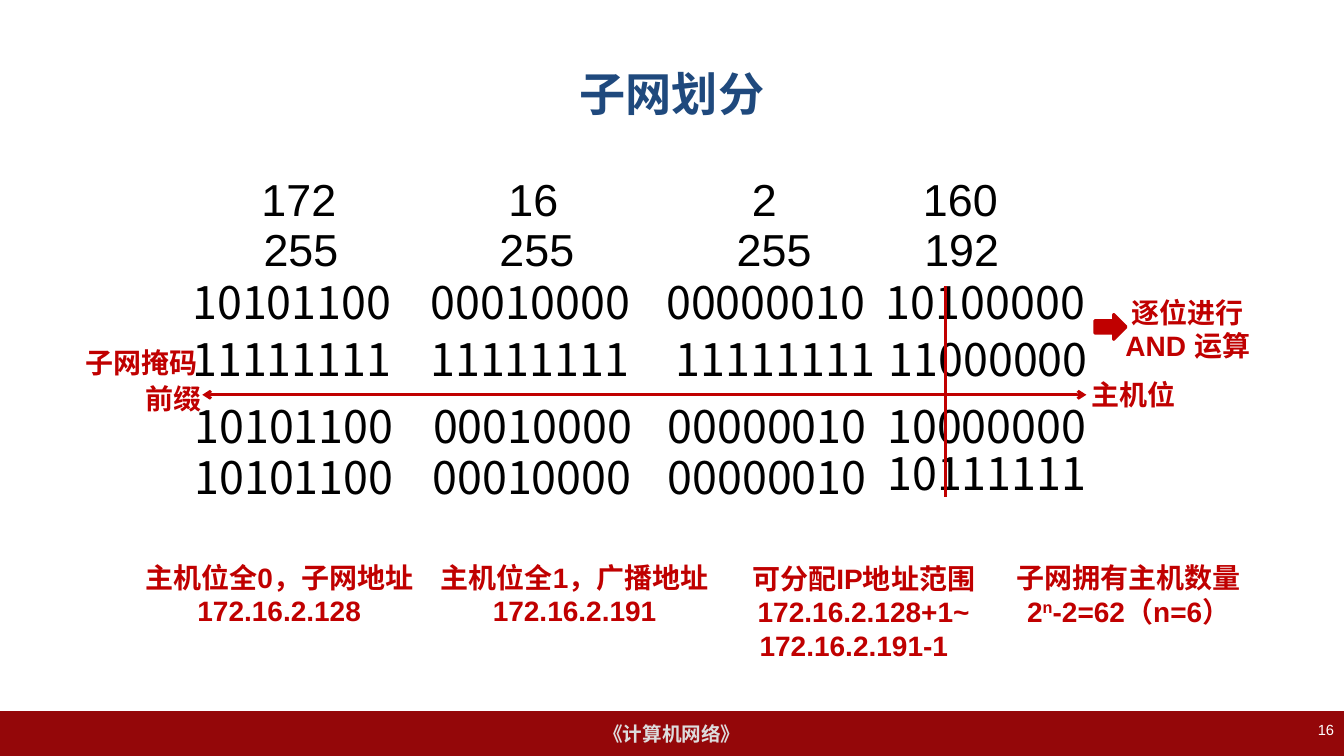
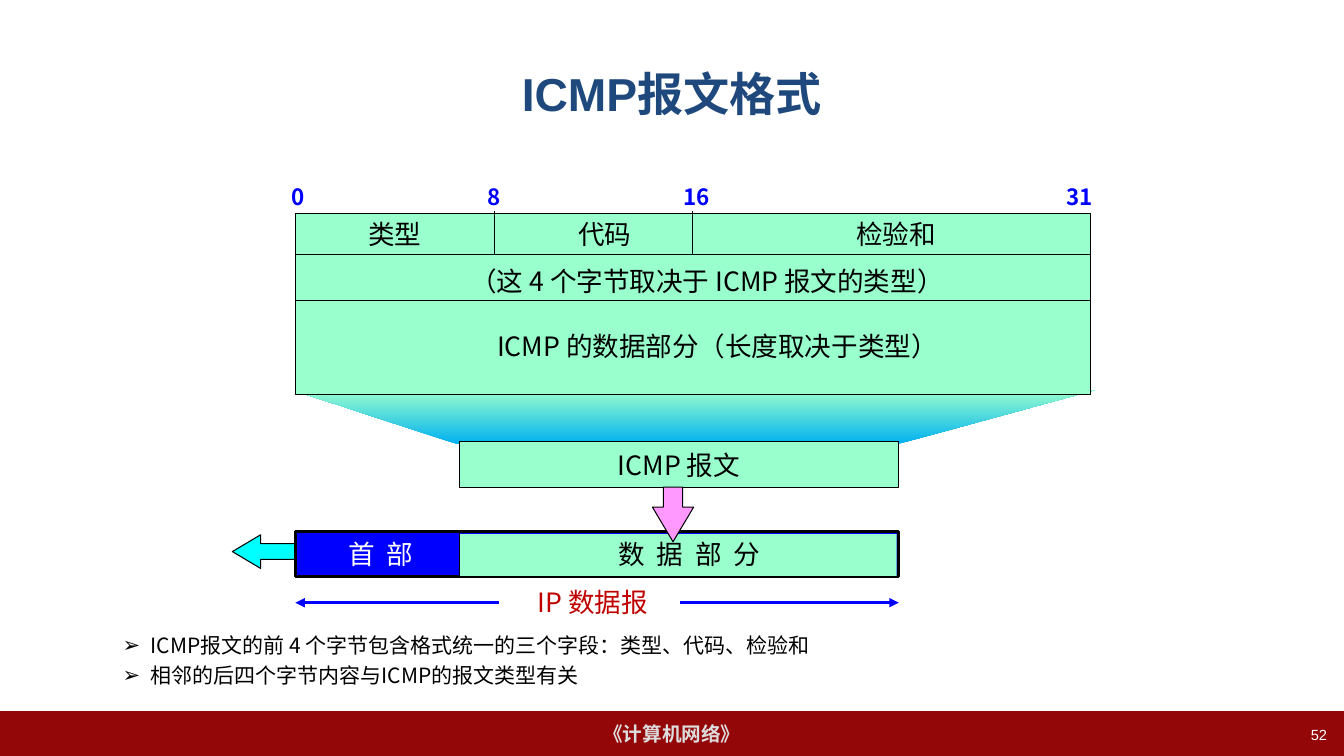
"""Build two computer-network slides: subnet division and the ICMP message format."""
from lxml.etree import SubElement
from pptx import Presentation
from pptx.dml.color import RGBColor
from pptx.enum.shapes import MSO_CONNECTOR, MSO_SHAPE
from pptx.enum.text import MSO_ANCHOR, PP_ALIGN
from pptx.oxml.ns import qn
from pptx.util import Pt

LATIN, CJK = "Arial", "Noto Sans CJK SC"
BAND, BAND_TEXT, TITLE = "940709", "DDDDDD", "1F497D"
RED, BLUE, MINT, SKY = "C00000", "0000FF", "99FFCC", "00B0F0"
CYAN, PINK, BLACK, WHITE = "00FFFF", "FF99FF", "000000", "FFFFFF"


def paint(shape, fill, line=None, width=0.75):
    shape.shadow.inherit = False
    shape.fill.solid()
    shape.fill.fore_color.rgb = RGBColor.from_string(fill)
    if line:
        shape.line.color.rgb = RGBColor.from_string(line)
        shape.line.width = Pt(width)
    else:
        shape.line.fill.background()


def write(shape, paragraphs, size, colour, font=LATIN, bold=False, align=PP_ALIGN.CENTER,
          anchor=MSO_ANCHOR.MIDDLE, wrap=True, inset=(7.2, 3.6)):
    frame = shape.text_frame
    frame.word_wrap = wrap
    frame.vertical_anchor = anchor
    frame.margin_left = frame.margin_right = Pt(inset[0])
    frame.margin_top = frame.margin_bottom = Pt(inset[1])
    for index, texts in enumerate(paragraphs):
        paragraph = frame.add_paragraph() if index else frame.paragraphs[0]
        paragraph.alignment = align
        for text in texts:
            run = paragraph.add_run()
            run.text = text
            run.font.size = Pt(size)
            run.font.bold = bold
            run.font.name = font
            run.font.color.rgb = RGBColor.from_string(colour)
            SubElement(run.font._element, qn("a:ea")).set("typeface", CJK)
    return frame.paragraphs


deck = Presentation()
deck.slide_width, deck.slide_height = Pt(960), Pt(540)
subnet, icmp = [deck.slides.add_slide(deck.slide_layouts[6]) for _ in range(2)]

for slide, title, number, number_box in [
    (subnet, "子网划分", "16", (699, 511, 261, 29)),
    (icmp, "ICMP报文格式", "52", (731, 515, 224, 25)),
]:
    band = slide.shapes.add_shape(MSO_SHAPE.RECTANGLE, *map(Pt, (0, 508, 960, 32)))
    paint(band, BAND)
    write(band, [["《计算机网络》"]], 14, BAND_TEXT, bold=True, wrap=False)
    heading = slide.shapes.add_textbox(*map(Pt, (48, 21.5, 864, 90)))
    write(heading, [[title]], 33, TITLE, bold=True)
    page = slide.shapes.add_textbox(*map(Pt, number_box))
    write(page, [[number]], 10.5, WHITE, align=PP_ALIGN.RIGHT, anchor=MSO_ANCHOR.TOP)

octet_rows = [
    (LATIN, (138, 138), "172 16 2 160", (213.5, 381, 546, 686)),
    (LATIN, (173.5, 173.5), "255 255 255 192", (215, 383.5, 553, 687)),
    (CJK, (211, 211), "10101100 00010000 00000010 10100000", (208.5, 379, 547, 704)),
    (CJK, (252, 252), "11111111 11111111 11111111 11000000", (208.5, 378.5, 554, 706)),
    (CJK, (299.5, 299.5), "10101100 00010000 00000010 10000000", (210, 380.5, 548, 705)),
    (CJK, (336, 333.5), "10101100 00010000 00000010 10111111", (210, 380, 548, 705)),
]
for font, (top, last_top), octets, centres in octet_rows:
    tops = [top] * 3 + [last_top]
    for octet, centre, octet_top in zip(octets.split(), centres, tops):
        cell = subnet.shapes.add_textbox(Pt(centre - 75), Pt(octet_top), Pt(150), Pt(23))
        lines = write(cell, [[octet]], 32, BLACK, font, anchor=MSO_ANCHOR.TOP,
                      wrap=False, inset=(1.5, 2))
        lines[0].line_spacing = Pt(21.4)

red_notes = {}
for key, box, paragraphs in [
    ("prefix", (96.5, 275, 55.5, 19.5), [["前缀"]]),
    ("host", (771, 272, 78, 19.5), [["主机位"]]),
    ("mask", (44, 249, 114.5, 19.5), [["子网掩码"]]),
    ("and", (792, 213, 113, 44), [["逐位进行 AND 运算"]]),
    ("network", (90, 401, 219, 46), [["主机位全0，子网地址"], ["172.16.2.128"]]),
    ("broadcast", (301, 401, 219, 46), [["主机位全1，广播地址"], ["172.16.2.191"]]),
    ("range", (507.5, 401, 219, 72), [["可分配IP地址范围172.16.2.128+1~"], ["172.16.2.191-1"]]),
    ("count", (714, 397, 184.5, 55), [["子网拥有主机数量"], ["2", "n", "-2=62（n=6）"]]),
]:
    note = subnet.shapes.add_textbox(*map(Pt, box))
    red_notes[key] = write(note, paragraphs, 20, RED, bold=True)
range_end = red_notes["range"][1]
range_end.alignment = PP_ALIGN.LEFT
range_end._p.get_or_add_pPr().set("marL", str(Pt(28)))
red_notes["count"][1].runs[1].font._element.set("baseline", "30000")

cone = icmp.shapes.build_freeform(Pt(213), Pt(280), scale=1.0)
cone.add_line_segments([(Pt(x), Pt(y)) for x, y in [(327.5, 317.5), (642, 317), (782.5, 278.5)]])
funnel = cone.convert_to_shape()
paint(funnel, MINT)
funnel.fill.gradient()
funnel.fill.gradient_angle = 90
for stop, colour in zip(funnel.fill.gradient_stops, (SKY, MINT)):
    stop.color.rgb = RGBColor.from_string(colour)

RECT = MSO_SHAPE.RECTANGLE
for slide, kind, box, fill, line, width, text in [
    (subnet, MSO_SHAPE.RIGHT_ARROW, (782, 224.5, 22.5, 18), RED, RED, 2, None),
    (icmp, MSO_SHAPE.LEFT_ARROW, (166, 382, 47.5, 24), CYAN, BLACK, 0.75, None),
    (icmp, RECT, (211, 379.5, 431, 32.5), BLUE, BLACK, 2, None),
    (icmp, RECT, (328.5, 381.5, 312, 30), MINT, None, 0, None),
    (icmp, RECT, (328.5, 315.5, 313, 32.5), MINT, BLACK, 0.75, "ICMP 报文"),
    (icmp, MSO_SHAPE.DOWN_ARROW, (466, 348, 29.5, 39), PINK, BLACK, 0.75, None),
    (icmp, RECT, (211, 152.5, 568, 129), MINT, BLACK, 0.75, None),
]:
    block = slide.shapes.add_shape(kind, *map(Pt, box))
    paint(block, fill, line, width)
    if slide is icmp and kind != RECT:
        block.adjustments[0], block.adjustments[1] = 0.47, 0.84
    if text:
        write(block, [[text]], 19, BLACK, CJK, wrap=False)

for slide, start, end, colour, width, arrow in [
    (subnet, (675.5, 204.5), (675.5, 355), RED, 2, None),
    (subnet, (675, 282), (144.5, 282), RED, 2, "arrow"),
    (subnet, (675, 282), (776, 282), RED, 2, "arrow"),
    (icmp, (356.5, 430.5), (211, 430.5), BLUE, 2.25, "triangle"),
    (icmp, (485.5, 430.5), (642, 430.5), BLUE, 2.25, "triangle"),
    (icmp, (328.5, 379.5), (328.5, 412), BLACK, 0.75, None),
    (icmp, (211, 182), (779, 182), BLACK, 0.75, None),
    (icmp, (211, 214.5), (779, 214.5), BLACK, 0.75, None),
    (icmp, (353, 182), (353, 150.5), BLACK, 0.75, None),
    (icmp, (495, 182), (495, 150.5), BLACK, 0.75, None),
]:
    rule = slide.shapes.add_connector(MSO_CONNECTOR.STRAIGHT, *map(Pt, start + end))
    rule.line.color.rgb = RGBColor.from_string(colour)
    rule.line.width = Pt(width)
    if arrow:
        SubElement(rule.line._get_or_add_ln(), qn("a:tailEnd")).set("type", arrow)
    SubElement(rule._element.spPr, qn("a:effectLst"))

for text, centre, top, size, colour, spread in [
    ("0", 213, 126, 16, BLUE, 0),
    ("8", 353, 126, 16, BLUE, 0),
    ("16", 497.5, 126, 16, BLUE, 0),
    ("31", 771, 126, 16, BLUE, 0),
    ("类型", 282, 150.5, 19, BLACK, 0),
    ("代码", 432, 150.5, 19, BLACK, 0),
    ("检验和", 640, 150.5, 19, BLACK, 0),
    ("（这 4 个字节取决于 ICMP 报文的类型）", 505, 184.5, 19, BLACK, 0),
    ("ICMP 的数据部分（长度取决于类型）", 512.5, 231, 19, BLACK, 0),
    ("首 部", 272, 379.5, 19, WHITE, 210),
    ("数 据 部 分", 492.5, 379.5, 19, BLACK, 210),
    ("IP 数据报", 423.5, 413.5, 19, RED, 0),
]:
    label = icmp.shapes.add_textbox(Pt(centre - 210), Pt(top), Pt(420), Pt(32.5))
    lines = write(label, [[text]], size, colour, CJK, bold=size == 16,
                  anchor=MSO_ANCHOR.TOP, wrap=False, inset=(9, 5))
    if spread:
        lines[0].runs[0].font._element.set("spc", str(spread))

remarks = icmp.shapes.add_textbox(*map(Pt, (80.5, 448.5, 864, 56)))
for remark in write(remarks, [["ICMP报文的前 4 个字节包含格式统一的三个字段：类型、代码、检验和"],
                              ["相邻的后四个字节内容与ICMP的报文类型有关"]],
                    15, BLACK, CJK, align=PP_ALIGN.LEFT, anchor=MSO_ANCHOR.TOP):
    remark.space_after = Pt(3.4)
    properties = remark._p.get_or_add_pPr()
    properties.set("marL", str(Pt(20)))
    properties.set("indent", str(-Pt(20)))
    SubElement(properties, qn("a:buFont")).set("typeface", LATIN)
    SubElement(properties, qn("a:buChar")).set("char", "➢")

deck.save("out.pptx")
